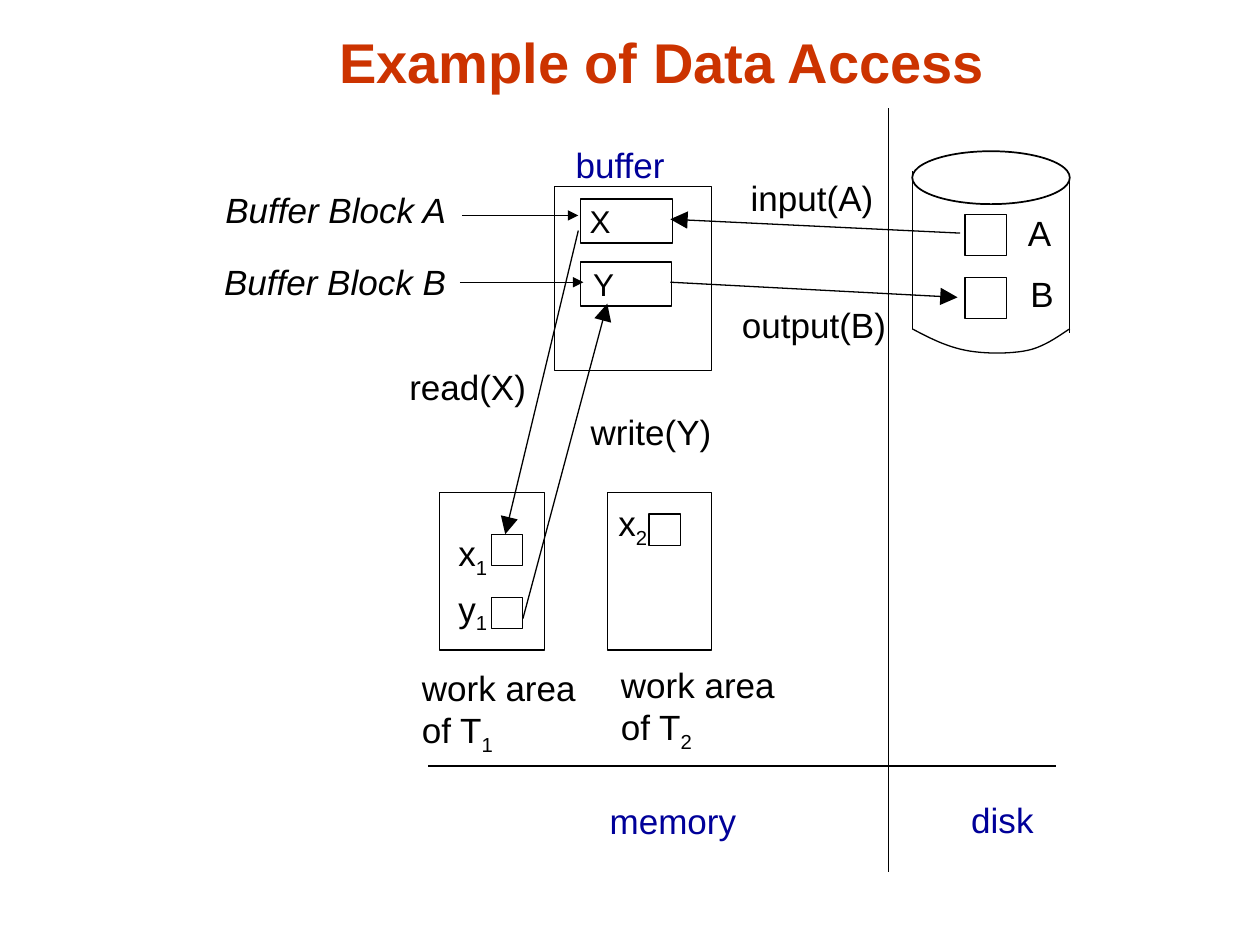
from lxml import etree
from pptx import Presentation
from pptx.dml.color import RGBColor
from pptx.enum.shapes import MSO_CONNECTOR, MSO_SHAPE
from pptx.enum.text import MSO_ANCHOR, MSO_AUTO_SIZE, PP_ALIGN
from pptx.oxml.ns import qn
from pptx.util import Inches, Pt

STRAIGHT = MSO_CONNECTOR.STRAIGHT
RECT, OVAL = MSO_SHAPE.RECTANGLE, MSO_SHAPE.OVAL
LEFT, CENTER = PP_ALIGN.LEFT, PP_ALIGN.CENTER
MIDDLE, BOTTOM = MSO_ANCHOR.MIDDLE, MSO_ANCHOR.BOTTOM
GROW = MSO_AUTO_SIZE.SHAPE_TO_FIT_TEXT

COLORS = {"ink": "000000", "title": "CC3300", "region": "000099"}
FONT = "Arial"

prs = Presentation()
prs.slide_width, prs.slide_height = Inches(10), Inches(7.5)
COL, ROW = prs.slide_width / 100, prs.slide_height / 75
slide = prs.slides.add_slide(prs.slide_layouts[5])
shapes = slide.shapes


def place(x, y, w, h):
    return round(x * COL), round(y * ROW), round(w * COL), round(h * ROW)


def write(paragraph, text, size, color="ink", bold=False, italic=False):
    for part, piece in enumerate(text.split("_")):
        run = paragraph.add_run()
        run.text = piece
        run.font.name, run.font.size = FONT, Pt(size)
        run.font.bold, run.font.italic = bold, italic
        run.font.color.rgb = RGBColor.from_string(COLORS[color])
        if part:
            run._r.get_or_add_rPr().set("baseline", "-25000")


title = shapes.title
title.left, title.top, title.width, title.height = place(8.4, 1.3, 88.3, 6.7)
title.text_frame.vertical_anchor = BOTTOM
title.text_frame.paragraphs[0].alignment = CENTER
write(title.text_frame.paragraphs[0], "Example of Data Access", 32, "title", bold=True)

DISK_LEFT, DISK_RIGHT = 72.4, 84.9
outlines = [
    (RECT, 44, 14.8, 12.5, 14.6, 0.75),
    (OVAL, DISK_LEFT, 12, 12.5, 4.2, 1),
]
outlines += [(RECT, 76.6, y, 3.3, 3.3, 0.75) for y in (17, 22)]
outlines += [(RECT, x, 39.1, 8.3, 12.5, 0.75) for x in (34.9, 48.2)]
outlines += [(RECT, x, y, 2.5, 2.5, 0.75) for x, y in ((51.5, 40.8), (39, 42.4), (39, 47.4))]
buffer_blocks = [("X", 15.8, 7.3, 0.7), ("Y", 20.8, 7.2, 1)]
outlines += [(RECT, 46.1, y, w, 3.5, 0.75) for _, y, w, _ in buffer_blocks]

drawn = []
for kind, x, y, w, h, weight in outlines:
    outline = shapes.add_shape(kind, *place(x, y, w, h))
    outline.line.width = Pt(weight)
    drawn.append(outline)

for (name, _, _, inset), block in zip(buffer_blocks, drawn[-2:]):
    frame = block.text_frame
    frame.word_wrap = True
    frame.vertical_anchor = MIDDLE
    frame.margin_left = round(inset * COL)
    frame.paragraphs[0].alignment = LEFT
    write(frame.paragraphs[0], name, 18)

disk_bottom = [
    ((72.4, 26.1), (73.7, 26.8), (75.1, 27.5), (76.6, 27.8)),
    ((76.6, 27.8), (78.1, 28.1), (80.2, 28.1), (81.6, 27.8)),
    ((81.6, 27.8), (83, 27.5), (84.4, 26.4), (84.9, 26.1)),
]
curve = []
for bezier in disk_bottom:
    for step in range(1, 13):
        t = step / 12
        weights = ((1 - t) ** 3, 3 * t * (1 - t) ** 2, 3 * t * t * (1 - t), t ** 3)
        curve.append(tuple(sum(k * p[axis] for k, p in zip(weights, bezier)) * unit
                           for axis, unit in ((0, COL), (1, ROW))))
builder = shapes.build_freeform(round(DISK_LEFT * COL), round(26.1 * ROW))
builder.add_line_segments(curve, close=False)
bottom_edge = builder.convert_to_shape()
bottom_edge.line.width = Pt(0.75)

for outline in drawn + [bottom_edge]:
    outline.shadow.inherit = False
    outline.fill.background()
    outline.line.color.rgb = RGBColor.from_string(COLORS["ink"])

lines = [
    (DISK_LEFT, 13.6, DISK_LEFT, 26.1, None),
    (DISK_RIGHT, 13.9, DISK_RIGHT, 26.4, None),
    (34, 60.8, 83.8, 60.8, None),
    (70.5, 8.6, 70.5, 69.2, None),
    (36.7, 17.1, 45.9, 17.1, "med"),
    (36.5, 22.4, 46.3, 22.4, "med"),
    (76.2, 18.5, 53.2, 17.4, "lg"),
    (53.2, 22.4, 76, 23.6, "lg"),
    (45.9, 18.3, 40.1, 42.4, "lg"),
    (41.5, 49.1, 48.2, 24.1, "lg"),
]
for x1, y1, x2, y2, head in lines:
    link = shapes.add_connector(STRAIGHT, *place(x1, y1, x2, y2))
    link.line.width = Pt(0.75)
    link.line.color.rgb = RGBColor.from_string(COLORS["ink"])
    if head:
        etree.SubElement(link.line._get_or_add_ln(), qn("a:tailEnd"),
                         type="triangle", w=head, len=head)
    etree.SubElement(link._element.spPr, qn("a:effectLst"))

labels = [
    ("A", 80.6, 16.3, 3.8, "ink", False),
    ("B", 80.8, 21.1, 3.8, "ink", False),
    ("x_1", 35.4, 41.7, 4.6, "ink", False),
    ("y_1", 35.4, 46.1, 4.7, "ink", False),
    ("x_2", 48.1, 39.3, 4.6, "ink", False),
    ("buffer", 44.7, 10.9, 9.4, "region", False),
    ("Buffer Block A", 16.9, 14.5, 20.4, "ink", True),
    ("Buffer Block B", 16.8, 20.2, 20.4, "ink", True),
    ("input(A)", 58.6, 13.5, 12.3, "ink", False),
    ("output(B)", 57.9, 23.6, 14.2, "ink", False),
    ("read(X)", 31.5, 28.5, 11.7, "ink", False),
    ("write(Y)", 45.9, 32.1, 12, "ink", False),
    ("work area\nof T_1", 32.5, 52.4, 15, "ink", False),
    ("work area\nof T_2", 48.3, 52.2, 14.7, "ink", False),
    ("memory", 47.4, 63, 12.7, "region", False),
    ("disk", 76.1, 62.9, 7.5, "region", False),
]
for text, x, y, w, color, italic in labels:
    rows = text.split("\n")
    height = 8.2 if len(rows) > 1 else 4.8 if "_" in text else 4.4
    frame = shapes.add_textbox(*place(x, y, w, height)).text_frame
    frame.word_wrap = False
    frame.auto_size = GROW
    for index, row in enumerate(rows):
        paragraph = frame.add_paragraph() if index else frame.paragraphs[0]
        paragraph.alignment = LEFT
        write(paragraph, row, 20, color, italic=italic)

prs.save("out.pptx")
